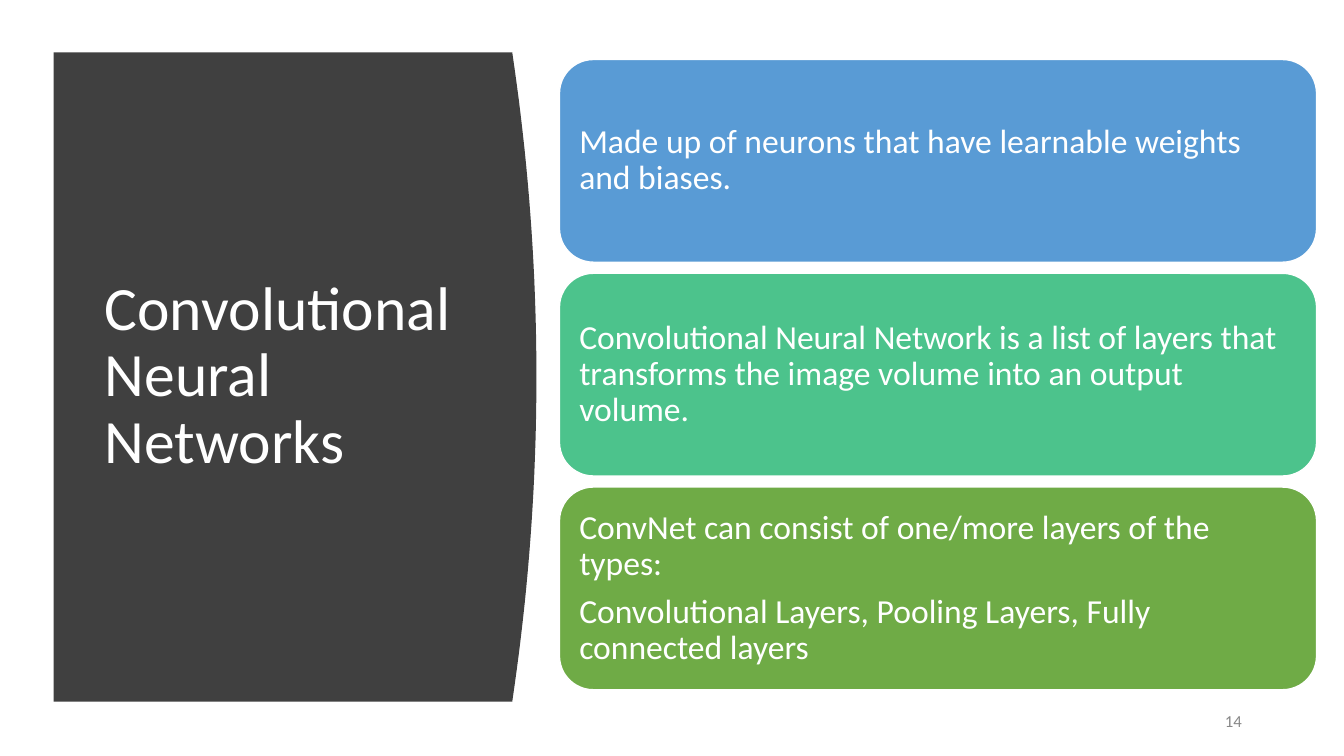
from pptx import Presentation
from pptx.dml.color import RGBColor
from pptx.enum.shapes import MSO_SHAPE as Shape
from pptx.enum.text import MSO_ANCHOR as Anchor, PP_ALIGN as Align
from pptx.util import Cm, Pt

WHITE = "FFFFFF"
FONT = "Calibri"
CURVE_STEPS = 40

POINTS = [
    ("599BD5", ["Made up of neurons that have learnable weights and biases."]),
    ("4CC38C", ["Convolutional Neural Network is a list of layers that "
                "transforms the image volume into an output volume."]),
    ("6FAB46", ["ConvNet can consist of one/more layers of the types:",
                "Convolutional Layers, Pooling Layers, Fully connected layers"]),
]


def rgb(value):
    return RGBColor.from_string(value)


def write(holder, lines, size, color, align=Align.LEFT, spacing=0.9, margin_y=0.13):
    frame = holder.text_frame
    frame.word_wrap = True
    frame.vertical_anchor = Anchor.MIDDLE
    frame.margin_left = frame.margin_right = Cm(0.25)
    frame.margin_top = frame.margin_bottom = Cm(margin_y)
    frame.text = "\n".join(lines)
    for index, paragraph in enumerate(frame.paragraphs):
        paragraph.alignment = align
        paragraph.line_spacing = spacing
        if index:
            paragraph.space_before = Pt(8.4)
        for run in paragraph.runs:
            run.font.name = FONT
            run.font.size = Pt(size)
            run.font.color.rgb = rgb(color)


def add_title_panel(slide, left, top, width, height, title):
    bulge = 0.61
    edge = []
    for step in range(CURVE_STEPS + 1):
        t = step / CURVE_STEPS
        x = left + width - bulge * (2 * t - 1) ** 2
        edge.append((Cm(x), Cm(top + height * t)))

    outline = slide.shapes.build_freeform(Cm(left), Cm(top))
    outline.add_line_segments(edge + [(Cm(left), Cm(top + height))], close=True)
    panel = outline.convert_to_shape()
    panel.shadow.inherit = False
    panel.fill.solid()
    panel.fill.fore_color.rgb = rgb("404040")
    panel.line.fill.background()

    inset_x, inset_y = 1.04, 1.5
    heading = slide.shapes.add_textbox(
        Cm(left + inset_x), Cm(top + inset_y), Cm(9.5), Cm(height - 2 * inset_y))
    write(heading, [title], 44, WHITE)


def add_point_cards(slide, left, top, width, height, points):
    gap = 0.28
    card_height = (height - gap * (len(points) - 1)) / len(points)
    for index, (color, lines) in enumerate(points):
        card_top = top + index * (card_height + gap)
        card = slide.shapes.add_shape(
            Shape.ROUNDED_RECTANGLE, Cm(left), Cm(card_top), Cm(width), Cm(card_height))
        card.shadow.inherit = False
        card.adjustments[0] = 0.167
        card.fill.solid()
        card.fill.fore_color.rgb = rgb(color)
        card.line.color.rgb = rgb(WHITE)
        card.line.width = Pt(1)
        write(card, lines, 24, WHITE, margin_y=0.25)


def add_page_number(slide, left, top, width, height, number):
    page = slide.shapes.add_textbox(Cm(left), Cm(top), Cm(width), Cm(height))
    write(page, [number], 12, "888888", align=Align.RIGHT, spacing=1.0)


def main():
    deck = Presentation()
    deck.slide_width, deck.slide_height = Cm(33.87), Cm(19.05)
    slide = deck.slides.add_slide(deck.slide_layouts[6])
    add_title_panel(slide, 1.35, 1.32, 12.17, 16.36, "Convolutional Neural Networks")
    add_point_cards(slide, 14.1, 1.5, 19.08, 15.88, POINTS)
    add_page_number(slide, 23.93, 17.65, 7.62, 1.02, "14")
    deck.save("out.pptx")


if __name__ == "__main__":
    main()
